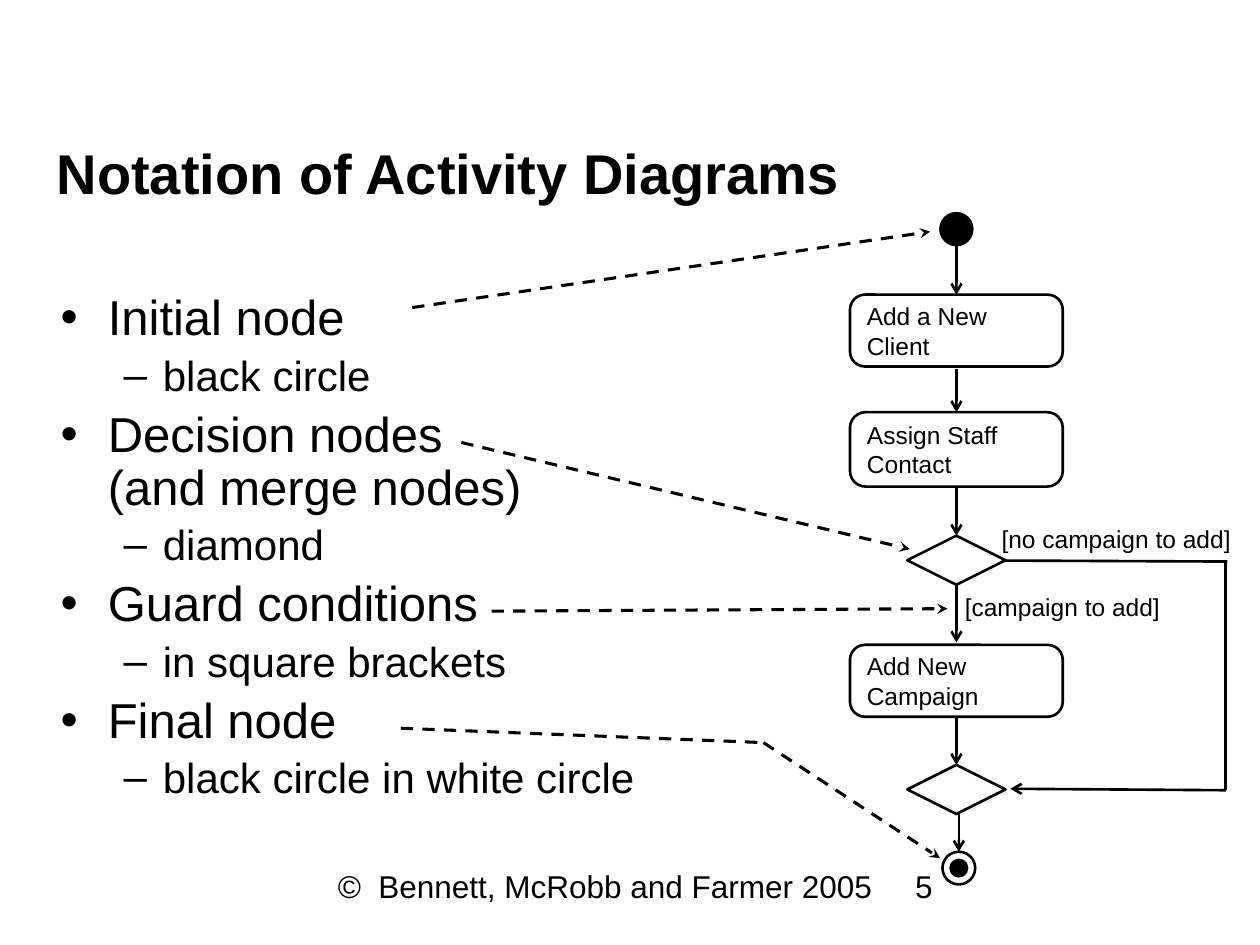
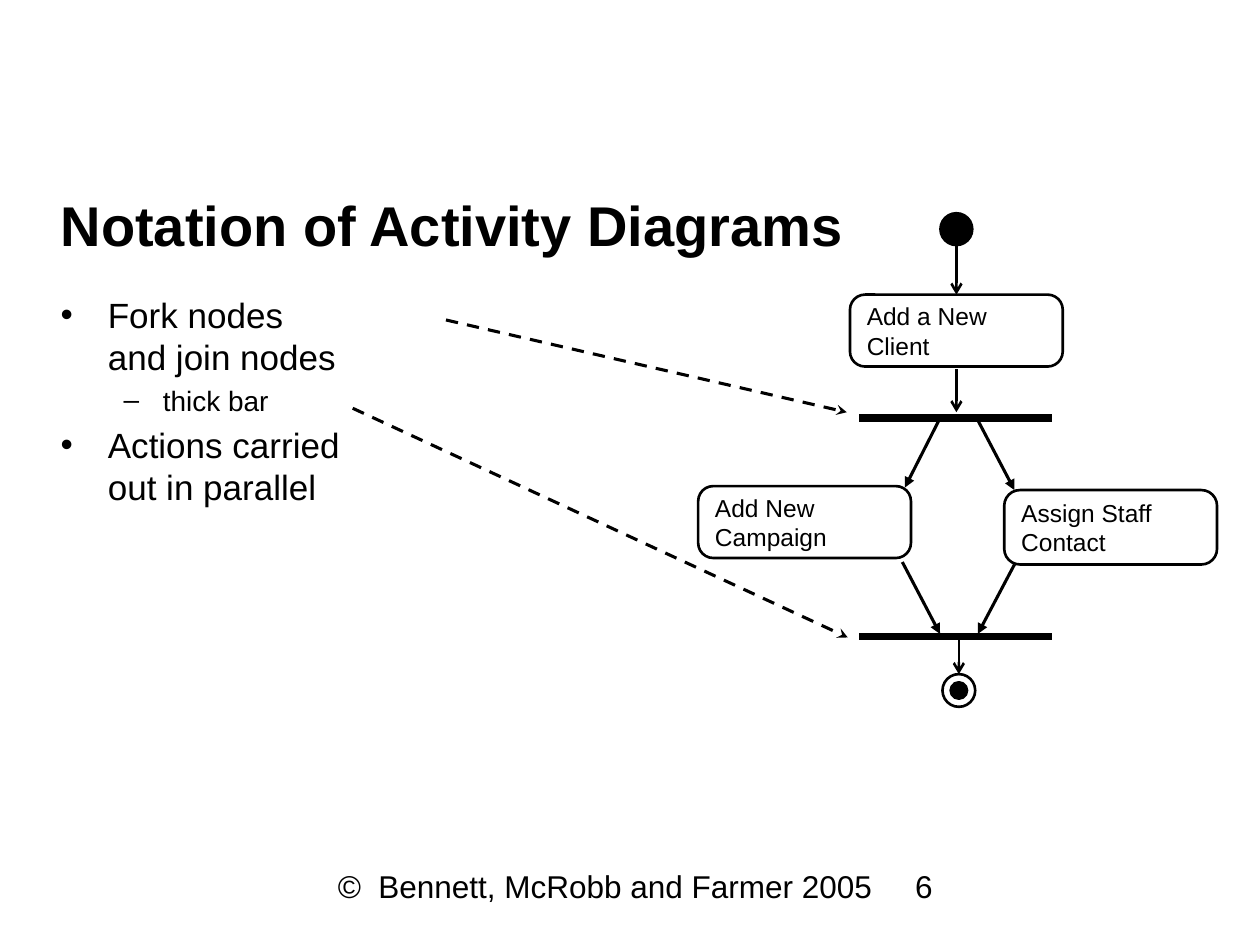
from dataclasses import dataclass

from pptx import Presentation, util as u
from pptx.dml.color import RGBColor
from pptx.enum import dml, shapes, text
from pptx.oxml.ns import qn
from lxml import etree

# Shared look, lengths in cm
FONT, BLACK, WHITE = "Arial", "000000", "FFFFFF"
AXIS = 19.28            # centre line of the activity flow
FINAL_AXIS = 19.33      # centre line of the final node
BOX_W, BOX_H = 4.29, 1.45
DIAMOND_W, DIAMOND_H = 1.98, 0.99
NODE_D, DOT_D = 0.66, 0.33
BULLETS = {0: ("•", 0.95, -0.95), 1: ("–", 2.06, -0.79)}


@dataclass
class Action:
    label: str
    top: float
    centre: float = AXIS
    height: float = BOX_H


@dataclass
class Line:
    x1: float
    y1: float
    x2: float
    y2: float
    head: str = ""
    width: float = 1.5
    dashed: bool = False


@dataclass
class Bullet:
    label: str
    size: int
    level: int = 0


def rgb(value: str) -> RGBColor:
    return RGBColor.from_string(value)


def place(sp, left: float, top: float, width: float, height: float) -> None:
    box = {"left": left, "top": top, "width": width, "height": height}
    for name, value in box.items():
        setattr(sp, name, u.Cm(value))


def write(p, label: str, size: int, bold: bool = False) -> None:
    p.text = label
    for r in p.runs:
        for name, value in {"name": FONT, "size": u.Pt(size), "bold": bold}.items():
            setattr(r.font, name, value)
        r.font.color.rgb = rgb(BLACK)


def add_text(slide, label: str, left: float, top: float, width: float,
             height: float, size: int) -> None:
    tf = slide.shapes.add_textbox(
        u.Cm(left), u.Cm(top), u.Cm(width), u.Cm(height)).text_frame
    tf.word_wrap = True
    write(tf.paragraphs[0], label, size)


def add_node(parent, kind, centre: float, top: float, width: float,
             height: float, fill: str = WHITE, line: float = 1.5):
    sp = parent.add_shape(kind, u.Cm(centre - width / 2), u.Cm(top),
                          u.Cm(width), u.Cm(height))
    sp.shadow.inherit = False
    sp.fill.solid()
    sp.fill.fore_color.rgb = rgb(fill)
    sp.line.color.rgb = rgb(BLACK)
    sp.line.width = u.Pt(line)
    return sp


def add_action(slide, action: Action) -> None:
    sp = add_node(slide.shapes, shapes.MSO_SHAPE.ROUNDED_RECTANGLE,
                  action.centre, action.top, BOX_W, action.height)
    sp.adjustments[0] = 0.21
    tf = sp.text_frame
    tf.vertical_anchor = text.MSO_ANCHOR.MIDDLE
    p = tf.paragraphs[0]
    p.alignment = text.PP_ALIGN.LEFT
    write(p, action.label, 14)


def add_line(slide, line: Line) -> None:
    sp = slide.shapes.add_connector(
        shapes.MSO_CONNECTOR.STRAIGHT,
        *(u.Cm(v) for v in (line.x1, line.y1, line.x2, line.y2)))
    sp.line.color.rgb = rgb(BLACK)
    sp.line.width = u.Pt(line.width)
    if line.dashed:
        sp.line.dash_style = dml.MSO_LINE.DASH
    if line.head:
        etree.SubElement(sp.line._get_or_add_ln(), qn("a:tailEnd"), type=line.head)
    etree.SubElement(sp._element.spPr, qn("a:effectLst"))


def down(y1: float, y2: float, x: float = AXIS) -> Line:
    return Line(x, y1, x, y2, "arrow")


def pointer(x1: float, y1: float, x2: float, y2: float, head: str = "stealth") -> Line:
    """Dashed line from a bullet to the notation it explains."""
    return Line(x1, y1, x2, y2, head, 1.75, True)


def add_diamond(slide, top: float) -> None:
    add_node(slide.shapes, shapes.MSO_SHAPE.DIAMOND, AXIS, top, DIAMOND_W, DIAMOND_H)


def add_final(slide, top: float) -> None:
    """Final node with the arrow that leads into it."""
    group = slide.shapes.add_group_shape().shapes
    oval = shapes.MSO_SHAPE.OVAL
    add_node(group, oval, FINAL_AXIS, top, NODE_D, NODE_D)
    add_node(group, oval, FINAL_AXIS, top + (NODE_D - DOT_D) / 2, DOT_D, DOT_D, BLACK)
    add_line(slide, down(top - 0.76, top, FINAL_AXIS))


def add_start(slide) -> None:
    """Initial node and first action, the same on every slide."""
    add_node(slide.shapes, shapes.MSO_SHAPE.OVAL, AXIS, 4.29, NODE_D, NODE_D, BLACK, 1)
    add_action(slide, Action("Add a New\vClient", 5.94))
    for line in (down(4.95, 5.94), down(7.44, 8.31)):
        add_line(slide, line)


def add_bullets(body, bullets: list[Bullet], spacing: float) -> None:
    place(body, 0.97, 5.79, 23.47, 11.73)
    tf = body.text_frame
    tf.auto_size = text.MSO_AUTO_SIZE.NONE
    for i, bullet in enumerate(bullets):
        p = tf.add_paragraph() if i else tf.paragraphs[0]
        write(p, bullet.label, bullet.size)
        char, margin, indent = BULLETS[bullet.level]
        pPr = p._p.get_or_add_pPr()
        pPr.set("marL", str(u.Cm(margin)))
        pPr.set("indent", str(u.Cm(indent)))
        etree.SubElement(pPr, qn("a:buFont"), typeface=FONT)
        etree.SubElement(pPr, qn("a:buChar"), char=char)
        layout = {"level": bullet.level, "line_spacing": spacing,
                  "space_before": u.Pt(bullet.size * 0.2)}
        for name, value in layout.items():
            setattr(p, name, value)


def new_slide(prs, number: int, title_left: float, title_top: float,
              bullets: list[Bullet], spacing: float):
    slide = prs.slides.add_slide(prs.slide_layouts[1])
    title, body = slide.placeholders
    place(title, title_left, title_top, 23.47, 1.93)
    tf = title.text_frame
    tf.auto_size = text.MSO_AUTO_SIZE.NONE
    tf.vertical_anchor = text.MSO_ANCHOR.MIDDLE
    p = tf.paragraphs[0]
    p.alignment = text.PP_ALIGN.LEFT
    write(p, "Notation of Activity Diagrams", 32, True)
    add_bullets(body, bullets, spacing)
    # Footer and slide number
    add_text(slide, "©  Bennett, McRobb and Farmer 2005", 6.56, 17.36, 12.26, 1.27, 18)
    add_text(slide, str(number), 18.2, 17.36, 5.29, 1.27, 18)
    add_start(slide)
    return slide


def decision_slide(prs) -> None:
    topics = [("Initial node", "black circle"),
              ("Decision nodes\v(and merge nodes)", "diamond"),
              ("Guard conditions", "in square brackets"),
              ("Final node", "black circle in white circle")]
    bullets = [b for head, detail in topics
               for b in (Bullet(head, 28), Bullet(detail, 24, 1))]
    slide = new_slide(prs, 5, 0.89, 2.51, bullets, 0.9)

    # Flow with a decision and a merge
    add_action(slide, Action("Assign Staff\vContact", 8.31, height=1.5))
    add_action(slide, Action("Add New\vCampaign", 13.0))
    for top in (10.8, 15.42):
        add_diamond(slide, top)
    add_final(slide, 17.17)
    add_text(slide, "[campaign to add]", 19.2, 11.81, 5.28, 0.84, 14)
    add_text(slide, "[no campaign to add]", 19.94, 10.44, 5.46, 0.84, 14)

    lines = [
        down(9.8, 10.8), down(11.79, 12.95), down(14.43, 15.42),
        # Bypass on the right
        Line(20.19, 11.3, 24.74, 11.32), Line(24.71, 11.35, 24.71, 15.93),
        Line(24.71, 15.93, 20.37, 15.9, "arrow"),
        # Pointers from the bullets
        pointer(8.31, 6.2, 18.75, 4.67), pointer(9.3, 8.92, 18.34, 11.07),
        pointer(9.91, 12.32, 19.1, 12.27), pointer(8.08, 14.68, 15.39, 14.97, ""),
        pointer(15.39, 14.97, 18.95, 17.3),
    ]
    for line in lines:
        add_line(slide, line)


def fork_slide(prs) -> None:
    bullets = [Bullet("Fork nodes\vand join nodes", 20), Bullet("thick bar", 16, 1),
               Bullet("Actions carried\vout in parallel", 20)]
    slide = new_slide(prs, 6, 0.97, 3.56, bullets, 1.0)

    # Parallel actions between the fork and the join
    add_action(slide, Action("Assign Staff\vContact", 9.88, 22.39, 1.5))
    add_action(slide, Action("Add New\vCampaign", 9.8, 16.22))
    add_final(slide, 13.59)
    fork, join = 8.43, 12.83
    for y in (fork, join):
        add_line(slide, Line(17.32, y, 21.21, y, width=4.5))
    branches = [(18.95, fork, 18.24, 9.83), (19.69, fork, 20.45, 9.88),
                (20.45, 11.38, 19.71, 12.78), (18.19, 11.33, 18.95, 12.78)]
    for branch in branches:
        add_line(slide, Line(*branch, "triangle", 1.75))

    # Pointers from the bullets
    for ends in ((7.11, 8.23, 17.09, 12.85), (8.99, 6.45, 17.07, 8.31)):
        add_line(slide, pointer(*ends))


prs = Presentation()
prs.slide_width, prs.slide_height = u.Cm(25.4), u.Cm(19.05)
decision_slide(prs)
fork_slide(prs)
prs.save("out.pptx")
